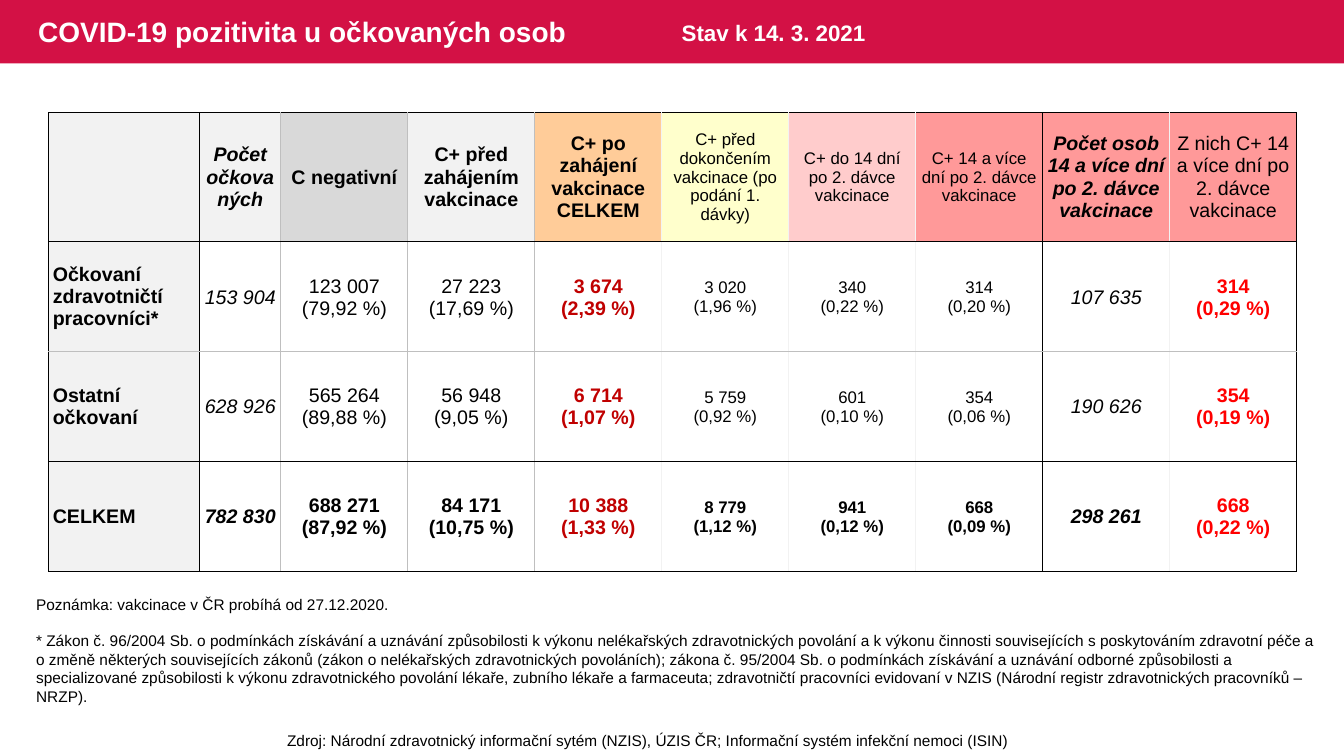
import dataclasses

import pptx
import pptx.dml.color
import pptx.enum.shapes
import pptx.enum.text
import pptx.oxml
import pptx.oxml.ns
import pptx.util

Cm = pptx.util.Cm
Pt = pptx.util.Pt
Align = pptx.enum.text.PP_ALIGN
Anchor = pptx.enum.text.MSO_ANCHOR


@dataclasses.dataclass(frozen=True)
class Theme:
    font: str = "Arial"
    banner: str = "D31145"
    white: str = "FFFFFF"
    black: str = "000000"
    dark_red: str = "C00000"
    red: str = "FF0000"
    grey_line: str = "BFBFBF"
    pale: str = "F2F2F2"
    grey: str = "D9D9D9"
    orange: str = "FFCC99"
    yellow: str = "FFFFCC"
    pink: str = "FFCCCC"
    salmon: str = "FF9999"
    title_size: int = 20
    date_size: int = 16
    table_size: int = 14
    detail_size: int = 12
    note_size: int = 11


def rgb(color):
    return pptx.dml.color.RGBColor.from_string(color)


class SlideBuilder:
    def __init__(self, slide, theme):
        self.slide = slide
        self.theme = theme

    def style(self, paragraph, size, color, bold=False, italic=False, align=Align.LEFT):
        paragraph.alignment = align
        for run in paragraph.runs:
            run.font.name = self.theme.font
            run.font.size = Pt(size)
            run.font.color.rgb = rgb(color)
            run.font.bold = bold
            run.font.italic = italic

    def bar(self, left, top, width, height, color):
        shape = self.slide.shapes.add_shape(
            pptx.enum.shapes.MSO_SHAPE.RECTANGLE, Cm(left), Cm(top), Cm(width), Cm(height))
        shape.shadow.inherit = False
        shape.fill.solid()
        shape.fill.fore_color.rgb = rgb(color)
        shape.line.fill.background()

    def text(self, left, top, width, height, content, size, color,
             bold=False, align=Align.LEFT, anchor=Anchor.TOP, gap=0):
        box = self.slide.shapes.add_textbox(Cm(left), Cm(top), Cm(width), Cm(height))
        frame = box.text_frame
        frame.word_wrap = True
        frame.vertical_anchor = anchor
        frame.text = content
        for index, paragraph in enumerate(frame.paragraphs):
            self.style(paragraph, size, color, bold, align=align)
            if index:
                paragraph.space_before = Pt(gap)

    def table(self, left, top, widths, heights):
        frame = self.slide.shapes.add_table(
            len(heights), len(widths), Cm(left), Cm(top), Cm(sum(widths)), Cm(sum(heights)))
        table = frame.table
        table.first_row = table.horz_banding = False
        for column, width in zip(table.columns, widths):
            column.width = Cm(width)
        for row, height in zip(table.rows, heights):
            row.height = Cm(height)
        return table

    def cell(self, cell, content, fill, borders, margins, **style):
        cell.vertical_anchor = Anchor.MIDDLE
        side, above = margins
        cell.margin_left = cell.margin_right = Cm(side)
        cell.margin_top, cell.margin_bottom = Cm(above), 0
        properties = cell._tc.get_or_add_tcPr()
        for edge, color in zip("LRTB", borders):
            properties.append(pptx.oxml.parse_xml(
                f'<a:ln{edge} {pptx.oxml.ns.nsdecls("a")} w="{Pt(1)}"><a:solidFill>'
                f'<a:srgbClr val="{color}"/></a:solidFill></a:ln{edge}>'))
        if fill:
            cell.fill.solid()
            cell.fill.fore_color.rgb = rgb(fill)
        else:
            cell.fill.background()
        paragraph = cell.text_frame.paragraphs[0]
        paragraph.text = content
        self.style(paragraph, **style)


ROWS = [
    ["", "Počet očkovaných", "C negativní", "C+ před zahájením vakcinace",
     "C+ po zahájení vakcinace CELKEM", "C+ před dokončením vakcinace (po podání 1. dávky)",
     "C+ do 14 dní po 2. dávce vakcinace", "C+ 14 a více dní po 2. dávce vakcinace",
     "Počet osob 14 a více dní po 2. dávce vakcinace",
     "Z nich C+ 14 a více dní po 2. dávce vakcinace"],
    ["Očkovaní zdravotničtí pracovníci*", "153 904", "123 007\n(79,92 %)", "27 223\n(17,69 %)",
     "3 674\n(2,39 %)", "3 020\n(1,96 %)", "340\n(0,22 %)", "314\n(0,20 %)",
     "107 635", "314\n(0,29 %)"],
    ["Ostatní očkovaní", "628 926", "565 264\n(89,88 %)", "56 948\n(9,05 %)",
     "6 714\n(1,07 %)", "5 759\n(0,92 %)", "601\n(0,10 %)", "354\n(0,06 %)",
     "190 626", "354\n(0,19 %)"],
    ["CELKEM", "782 830", "688 271\n(87,92 %)", "84 171\n(10,75 %)",
     "10 388\n(1,33 %)", "8 779\n(1,12 %)", "941\n(0,12 %)", "668\n(0,09 %)",
     "298 261", "668\n(0,22 %)"],
]

NOTES = (
    "Poznámka: vakcinace v ČR probíhá od 27.12.2020.\n"
    "* Zákon č. 96/2004 Sb. o podmínkách získávání a uznávání způsobilosti k výkonu "
    "nelékařských zdravotnických povolání a k výkonu činnosti souvisejících s poskytováním "
    "zdravotní péče a o změně některých souvisejících zákonů (zákon o nelékařských "
    "zdravotnických povoláních); zákona č. 95/2004 Sb. o podmínkách získávání a uznávání "
    "odborné způsobilosti a specializované způsobilosti k výkonu zdravotnického povolání "
    "lékaře, zubního lékaře a farmaceuta; zdravotničtí pracovníci evidovaní v NZIS "
    "(Národní registr zdravotnických pracovníků – NRZP).")
SOURCE = ("Zdroj: Národní zdravotnický informační sytém (NZIS), ÚZIS ČR; "
          "Informační systém infekční nemoci (ISIN)")


def add_positivity_table(builder):
    theme = builder.theme
    black, grey, pale = theme.black, theme.grey_line, theme.pale
    header_fills = [pale, pale, theme.grey, pale, theme.orange, theme.yellow,
                    theme.pink, theme.salmon, theme.salmon, theme.salmon]
    # Line colours, from the left edge to the right and from the top down
    vertical = [black, black, grey, grey, grey, pale, pale, pale, black, pale, black]
    horizontal = [black, black, grey, black, black]
    result_colors = {4: theme.dark_red, 9: theme.red}
    detail_columns = (5, 6, 7)
    bold_headers = (1, 2, 3, 4, 8)

    table = builder.table(1.23, 2.84, [3.8, 2.05] + [3.2] * 8, [3.25] + [2.77] * 3)
    last = len(ROWS) - 1
    for r, row in enumerate(ROWS):
        for c, content in enumerate(row):
            header, label = r == 0, c == 0
            builder.cell(
                table.cell(r, c), content,
                fill=header_fills[c] if header or label else None,
                borders=(vertical[c], vertical[c + 1], horizontal[r], horizontal[r + 1]),
                margins=(0.1, 0) if header or label else (0.03, 0.03),
                size=theme.detail_size if c in detail_columns else theme.table_size,
                color=black if header else result_colors.get(c, black),
                bold=c in bold_headers if header else label or r == last or c in result_colors,
                italic=c in (1, 8),
                align=Align.LEFT if label else Align.CENTER)


def main():
    presentation = pptx.Presentation()
    presentation.slide_width, presentation.slide_height = Cm(33.87), Cm(19.05)
    slide = presentation.slides.add_slide(presentation.slide_layouts[6])
    theme = Theme()
    builder = SlideBuilder(slide, theme)

    # Banner with title and date
    builder.bar(0, 0, 33.87, 1.6, theme.banner)
    builder.text(0.71, 0, 16, 1.6, "COVID-19 pozitivita u očkovaných osob",
                 theme.title_size, theme.white, bold=True, anchor=Anchor.MIDDLE)
    builder.text(16.93, 0.36, 5.6, 0.94, "Stav k 14. 3. 2021",
                 theme.date_size, theme.white, bold=True)

    # Notes below the table
    builder.text(0.66, 14.86, 33.07, 2.62, NOTES, theme.note_size, theme.black, gap=13)

    # Results by group
    add_positivity_table(builder)

    # Data source
    builder.text(4.83, 18.29, 23.01, 0.74, SOURCE, theme.note_size, theme.black,
                 align=Align.CENTER)

    presentation.save("out.pptx")


if __name__ == "__main__":
    main()
